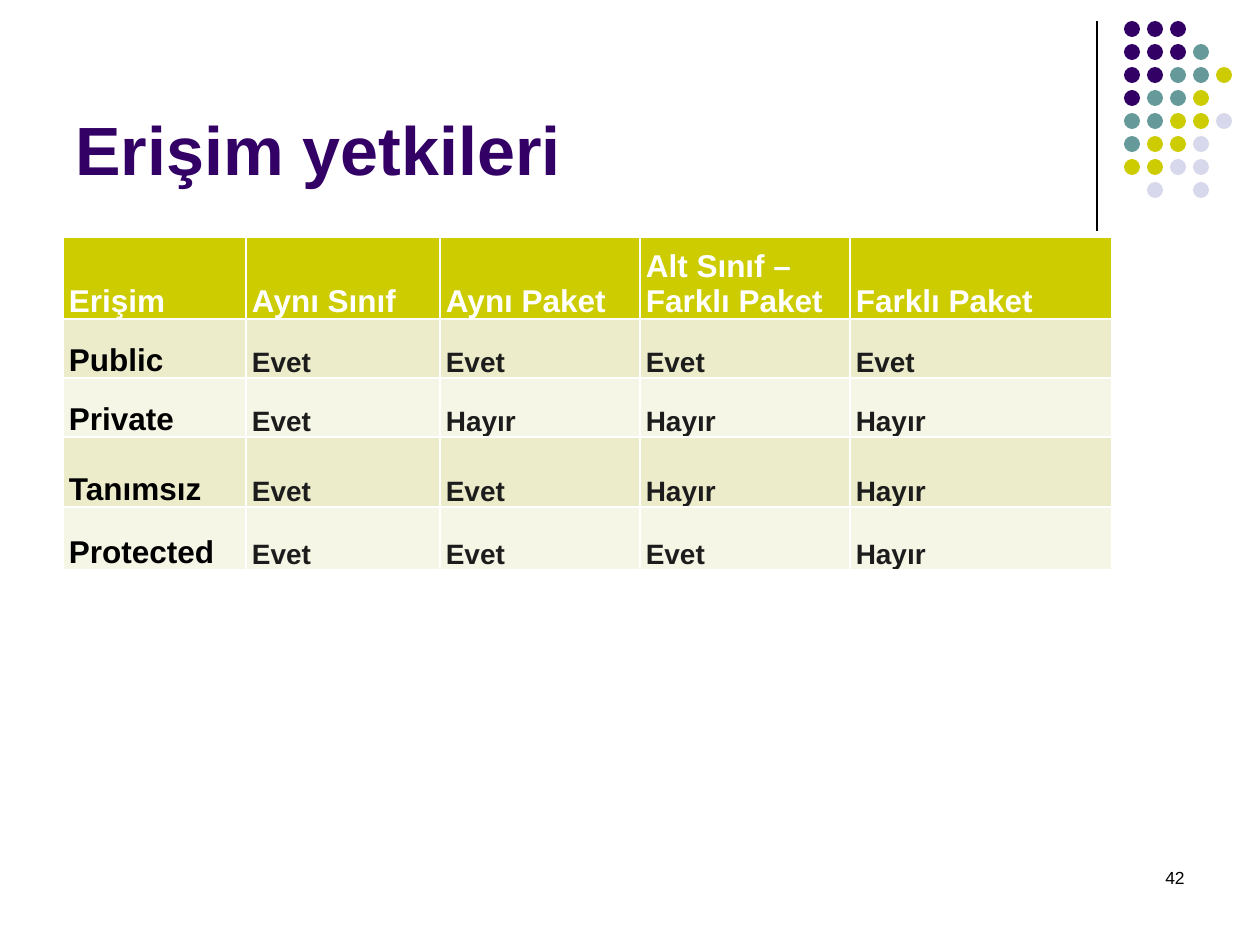
from pptx import Presentation
from pptx.dml.color import RGBColor
from pptx.enum.shapes import MSO_CONNECTOR, MSO_SHAPE
from pptx.enum.text import MSO_ANCHOR, PP_ALIGN
from pptx.oxml.ns import qn
from pptx.util import Pt
from lxml import etree

LINE = MSO_CONNECTOR.STRAIGHT
OVAL = MSO_SHAPE.OVAL
TOP, BOTTOM = MSO_ANCHOR.TOP, MSO_ANCHOR.BOTTOM
LEFT, RIGHT = PP_ALIGN.LEFT, PP_ALIGN.RIGHT


def px(*nums):
    return [round(n * 914400 / 126) for n in nums]


def style(frame, size, color, bold):
    for run in frame.paragraphs[0].runs:
        run.font.name = "Arial"
        run.font.size = Pt(size)
        run.font.bold = bold
        run.font.color.rgb = RGBColor.from_string(color)


deck = Presentation()
deck.slide_width, deck.slide_height = px(1260, 945)
slide = deck.slides.add_slide(deck.slide_layouts[6])
shapes = slide.shapes

rule = shapes.add_connector(LINE, *px(1097, 21, 1097, 231))
rule.line.width = Pt(0.75)
rule.line.color.rgb = RGBColor.from_string("000000")
etree.SubElement(rule._element.spPr, qn("a:effectLst"))

hues = {"P": "330066", "T": "669999", "Y": "CCCC00", "L": "D8D8EC"}
dots = ["PPP", "PPPT", "PPTTY", "PTTY", "TTYYL", "TYYL", "YYLL", " L L"]
for i, marks in enumerate(dots):
    for j, mark in enumerate(marks):
        if mark in hues:
            dot = shapes.add_shape(OVAL, *px(1124 + 23 * j, 21 + 23 * i, 16, 16))
            dot.shadow.inherit = False
            dot.fill.solid()
            dot.fill.fore_color.rgb = RGBColor.from_string(hues[mark])
            dot.line.fill.background()

labels = [
    ("Erişim yetkileri", (63, 16, 1040, 179), 39, "330066", True, BOTTOM, LEFT),
    ("42", (903, 861, 294, 63), 10, "000000", False, TOP, RIGHT),
]
for text, box, size, color, bold, anchor, align in labels:
    frame = shapes.add_textbox(*px(*box)).text_frame
    frame.word_wrap = True
    frame.vertical_anchor = anchor
    frame.text = text
    frame.paragraphs[0].alignment = align
    style(frame, size, color, bold)

rows = [
    ["Erişim", "Aynı Sınıf", "Aynı Paket", "Alt Sınıf – Farklı Paket", "Farklı Paket"],
    ["Public", "Evet", "Evet", "Evet", "Evet"],
    ["Private", "Evet", "Hayır", "Hayır", "Hayır"],
    ["Tanımsız", "Evet", "Evet", "Hayır", "Hayır"],
    ["Protected", "Evet", "Evet", "Evet", "Hayır"],
]
widths = [183, 194, 200, 210, 262]
heights = [82, 59, 59, 70, 63]
table = shapes.add_table(5, 5, *px(63, 237, sum(widths), sum(heights))).table
for col, width in zip(table.columns, px(*widths)):
    col.width = width
for row, height in zip(table.rows, px(*heights)):
    row.height = height

for i, texts in enumerate(rows):
    fill = "CCCC00" if i == 0 else "ECECCB" if i % 2 else "F6F6E7"
    for j, text in enumerate(texts):
        cell = table.cell(i, j)
        cell.fill.solid()
        cell.fill.fore_color.rgb = RGBColor.from_string(fill)
        cell.vertical_anchor = BOTTOM
        cell.margin_left, cell.margin_top, cell.margin_right, cell.margin_bottom = px(6, 6, 6, 0)
        cell.text_frame.text = text
        color = "FFFFFF" if i == 0 else "1C1C1C" if j else "000000"
        style(cell.text_frame, 16 if i and j else 18, color, True)

deck.save("out.pptx")
